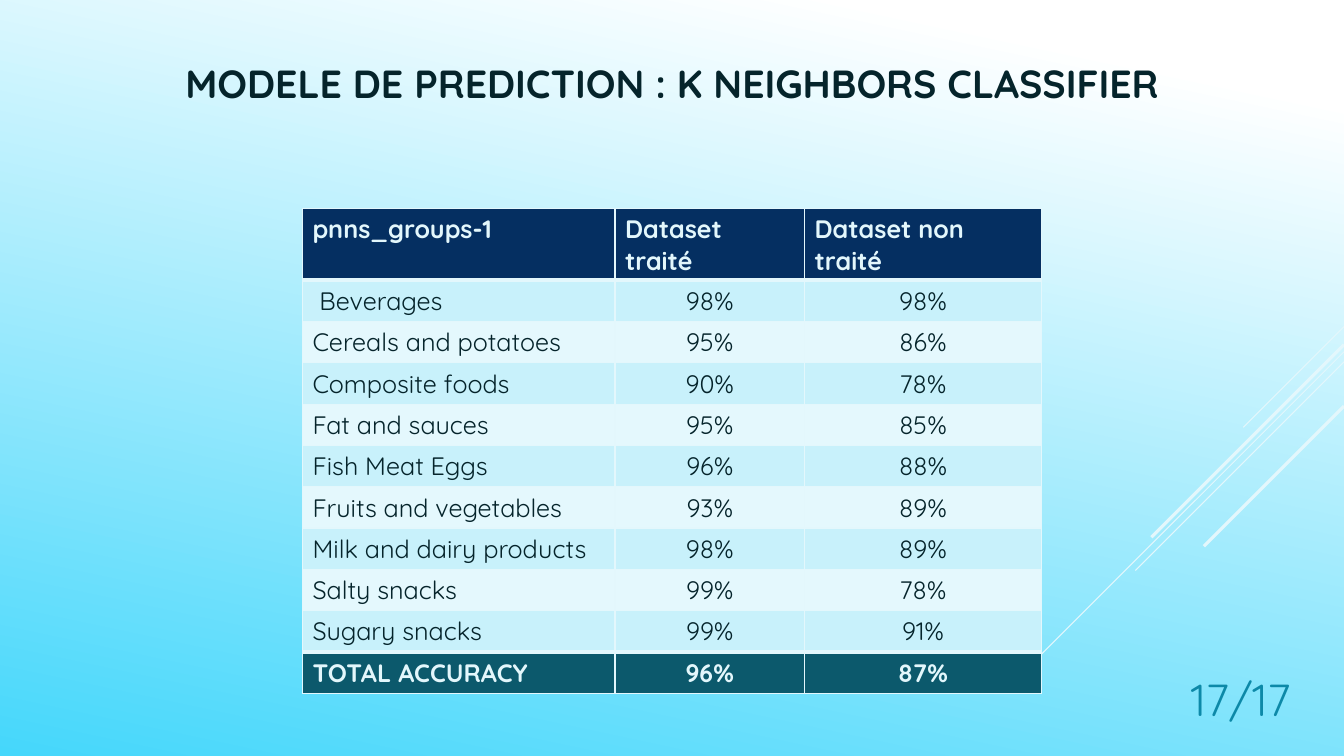
from lxml.etree import SubElement
from pptx import Presentation
from pptx.dml.color import RGBColor
from pptx.enum.shapes import MSO_CONNECTOR
from pptx.enum.text import MSO_ANCHOR, MSO_AUTO_SIZE, PP_ALIGN
from pptx.oxml.ns import qn
from pptx.util import Inches, Pt

WIDTH, HEIGHT = 13.33, 7.5
FONT = "Quicksand"
INK, PALE, NAVY, TEAL, ACCENT = "05242B", "E3F7FC", "052F61", "0C596C", "0D89A8"
BANDS = ("C8F1FB", "E4F8FD")

HEADER = ("pnns_groups-1", "Dataset traité", "Dataset non traité")
SCORES = (
    (" Beverages", 98, 98),
    ("Cereals and potatoes", 95, 86),
    ("Composite foods", 90, 78),
    ("Fat and sauces", 95, 85),
    ("Fish Meat Eggs", 96, 88),
    ("Fruits and vegetables", 93, 89),
    ("Milk and dairy products", 98, 89),
    ("Salty snacks", 99, 78),
    ("Sugary snacks", 99, 91),
    ("TOTAL ACCURACY", 96, 87),
)
COLUMN_WIDTHS = (3.1, 1.88, 2.35)
HEADER_HEIGHT, ROW_HEIGHT = 0.71, 0.41
RAYS = ((3.24, 1, 0.75), (3.49, 3.26, 0.75), (3.59, 2.07, 0.75),
        (3.42, 1.91, 2.25), (4.03, 1.39, 2.25))


def color(hex_string):
    return RGBColor.from_string(hex_string)


def write(text_frame, text, size, hex_string, alignment, bold=False):
    text_frame.text = text
    paragraph = text_frame.paragraphs[0]
    paragraph.alignment = alignment
    font = paragraph.runs[0].font
    font.name, font.size, font.bold = FONT, Pt(size), bold
    font.color.rgb = color(hex_string)


def paint_background(slide):
    fill = slide.background.fill
    fill.gradient()
    fill.gradient_angle = 360 - 102
    stops = ((0.1, "FFFFFF"), (1, "45D7FB"))
    for stop, (position, hex_string) in zip(fill.gradient_stops, stops):
        stop.position = position
        stop.color.rgb = color(hex_string)


def add_ray(slide, top, reach, weight):
    ray = slide.shapes.add_connector(
        MSO_CONNECTOR.STRAIGHT, Inches(WIDTH), Inches(top),
        Inches(WIDTH - reach), Inches(top + reach))
    ray.line.color.rgb = color(PALE)
    ray.line.width = Pt(weight)
    SubElement(ray._element.spPr, qn("a:effectLst"))


def place_title(slide, text):
    title = slide.shapes.title
    title.left, title.top = 0, Inches(0.41)
    title.width, title.height = Inches(WIDTH), Inches(0.83)
    frame = title.text_frame
    frame.auto_size = MSO_AUTO_SIZE.NONE
    frame.vertical_anchor = MSO_ANCHOR.MIDDLE
    write(frame, text, 28, INK, PP_ALIGN.CENTER, True)


def add_page_number(slide, text):
    box = slide.shapes.add_textbox(
        Inches(11.43), Inches(6.52), Inches(1.47), Inches(0.73))
    frame = box.text_frame
    frame.word_wrap = True
    frame.vertical_anchor = MSO_ANCHOR.BOTTOM
    write(frame, text, 32, ACCENT, PP_ALIGN.RIGHT)


def set_borders(cell, top, bottom):
    properties = cell._tc.get_or_add_tcPr()
    for side, weight in (("L", 1), ("R", 1), ("T", top), ("B", bottom)):
        line = SubElement(properties, qn(f"a:ln{side}"), w=str(Pt(weight)))
        fill = SubElement(line, qn("a:solidFill"))
        SubElement(fill, qn("a:srgbClr"), val=PALE)


def add_score_table(slide):
    rows = [HEADER] + [(name, f"{treated}%", f"{raw}%")
                       for name, treated, raw in SCORES]
    last = len(rows) - 1
    table_width = sum(COLUMN_WIDTHS)
    table = slide.shapes.add_table(
        len(rows), len(HEADER), Inches((WIDTH - table_width) / 2), Inches(2.07),
        Inches(table_width), Inches(HEADER_HEIGHT + last * ROW_HEIGHT)).table
    table.last_row = True
    for column, width in zip(table.columns, COLUMN_WIDTHS):
        column.width = Inches(width)
    for index, values in enumerate(rows):
        table.rows[index].height = Inches(ROW_HEIGHT if index else HEADER_HEIGHT)
        strong = index in (0, last)
        background = {0: NAVY, last: TEAL}.get(index, BANDS[(index - 1) % 2])
        top = 3 if index in (1, last) else 1
        bottom = 3 if index in (0, last - 1) else 1
        for position, value in enumerate(values):
            cell = table.cell(index, position)
            centred = index and position
            write(cell.text_frame, value, 18, PALE if strong else INK,
                  PP_ALIGN.CENTER if centred else PP_ALIGN.LEFT, strong)
            set_borders(cell, top, bottom)
            cell.fill.solid()
            cell.fill.fore_color.rgb = color(background)


def main():
    presentation = Presentation()
    presentation.slide_width = Inches(WIDTH)
    presentation.slide_height = Inches(HEIGHT)
    slide = presentation.slides.add_slide(presentation.slide_layouts[5])
    paint_background(slide)
    for top, reach, weight in RAYS:
        add_ray(slide, top, reach, weight)
    place_title(slide, "MODELE DE PREDICTION : K NEIGHBORS CLASSIFIER")
    add_page_number(slide, "17/17")
    add_score_table(slide)
    presentation.save("out.pptx")


if __name__ == "__main__":
    main()
